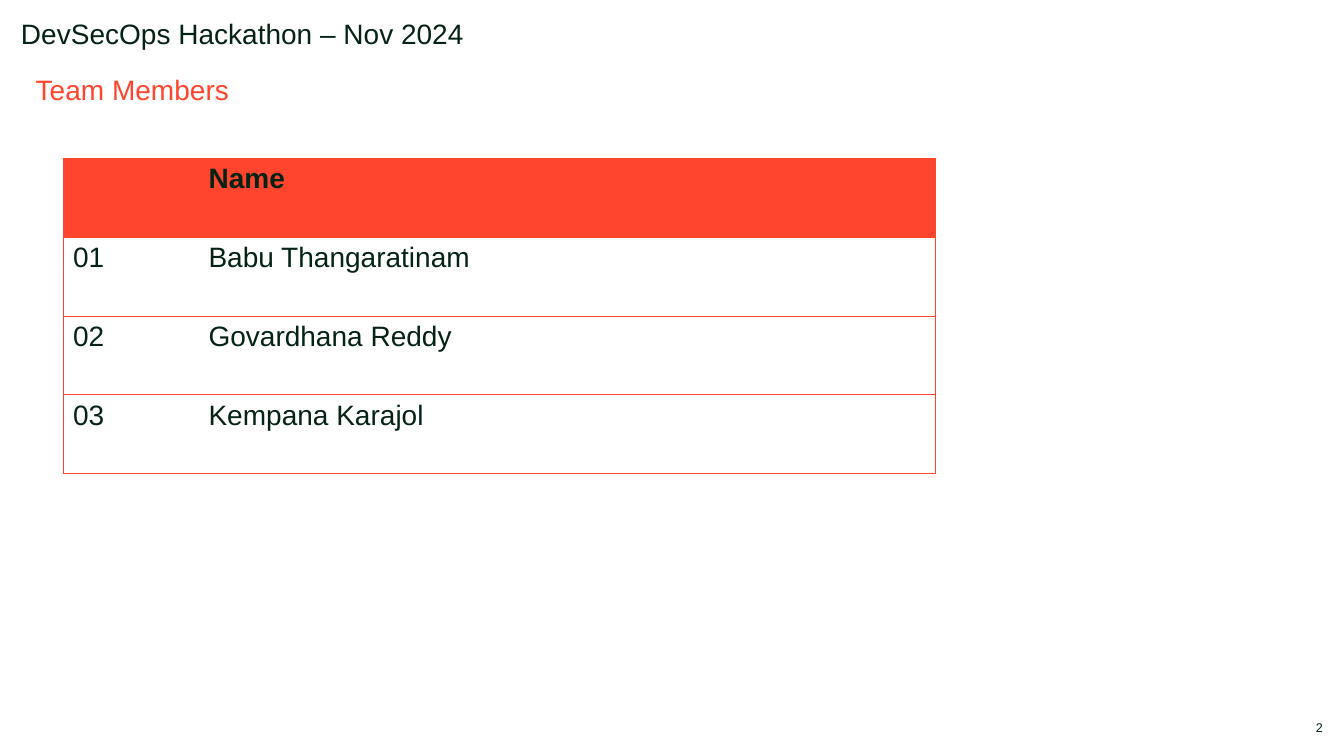
from pptx import Presentation
from pptx.dml.color import RGBColor
from pptx.enum.text import MSO_ANCHOR, MSO_AUTO_SIZE, PP_ALIGN
from pptx.oxml import parse_xml
from pptx.oxml.ns import nsdecls
from pptx.util import Pt

PX = 9525
TOP, MID = MSO_ANCHOR.TOP, MSO_ANCHOR.MIDDLE
LEFT, RIGHT = PP_ALIGN.LEFT, PP_ALIGN.RIGHT
INK, RED = "042315", "FF452D"


def write(frame, text, size=20, color=INK, bold=False, align=LEFT, before=0, line=1.0):
    para = frame.paragraphs[0]
    para.alignment = align
    para.space_before = Pt(before)
    para.line_spacing = line
    run = para.add_run()
    run.text = text
    font = run.font
    font.name, font.size, font.bold = "Arial", Pt(size), bold
    font.color.rgb = RGBColor.from_string(color)


def place(shape, x, y, w, h, anchor=TOP):
    """Set a text shape's box, with no margins and no autofit."""
    shape.left, shape.top, shape.width, shape.height = (n * PX for n in (x, y, w, h))
    frame = shape.text_frame
    frame.margin_left = frame.margin_right = frame.margin_top = frame.margin_bottom = 0
    frame.word_wrap = True
    frame.auto_size = MSO_AUTO_SIZE.NONE
    frame.vertical_anchor = anchor
    return frame


deck = Presentation()
deck.slide_width, deck.slide_height = 1280 * PX, 720 * PX
slide = deck.slides.add_slide(deck.slide_layouts[5])
shapes = slide.shapes

# Headings and page number
write(place(shapes.title, 20, 19, 425, 30), "DevSecOps Hackathon – Nov 2024", before=10, line=0.9)
team = shapes.add_textbox(0, 0, PX, PX)
write(place(team, 34, 73, 412, 53), "Team Members", color=RED, before=10, line=0.9)
page = shapes.add_textbox(0, 0, PX, PX)
write(place(page, 972, 686, 288, 14, MID), "2", size=9, align=RIGHT)

# Team table: an outline and row rules, without a rule between the columns
rows = [
    ("", "Name"),
    ("01", "Babu Thangaratinam"),
    ("02", "Govardhana Reddy"),
    ("03", "Kempana Karajol"),
]
widths = [129, 702]
high = 75
table = shapes.add_table(
    len(rows), len(widths), 60 * PX, 151 * PX, sum(widths) * PX, high * len(rows) * PX
).table
table.horz_banding = False
for col, width in zip(table.columns, widths):
    col.width = width * PX

solid = f'<a:solidFill><a:srgbClr val="{RED}"/></a:solidFill>'
for r, row in enumerate(rows):
    table.rows[r].height = high * PX
    for c, text in enumerate(row):
        cell = table.cell(r, c)
        inner = "R" if c == 0 else "L"
        props = cell._tc.get_or_add_tcPr()
        for side in "LRTB":
            paint = "<a:noFill/>" if side == inner else solid
            props.append(parse_xml(f'<a:ln{side} {nsdecls("a")} w="6350">{paint}</a:ln{side}>'))
        if r == 0:
            cell.fill.solid()
            cell.fill.fore_color.rgb = RGBColor.from_string(RED)
        else:
            cell.fill.background()
        if text:
            write(cell.text_frame, text, bold=r == 0)

deck.save("out.pptx")
